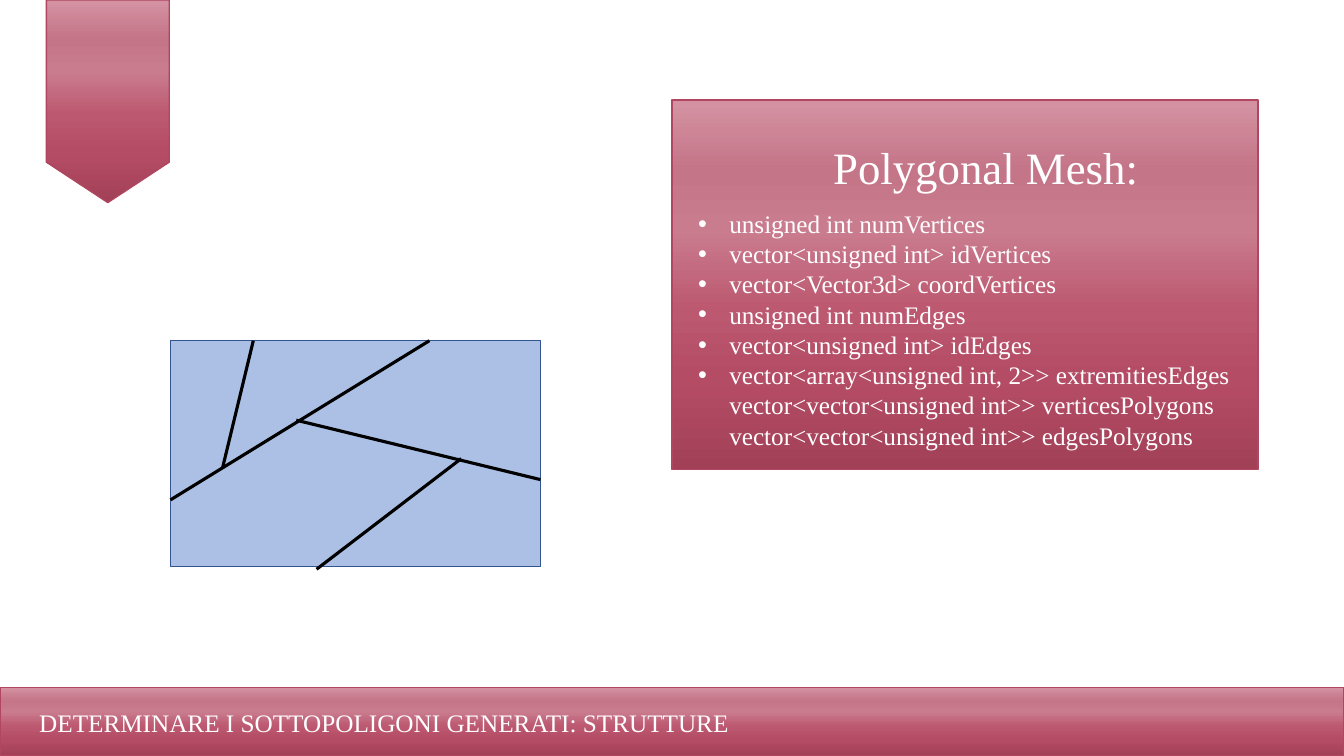
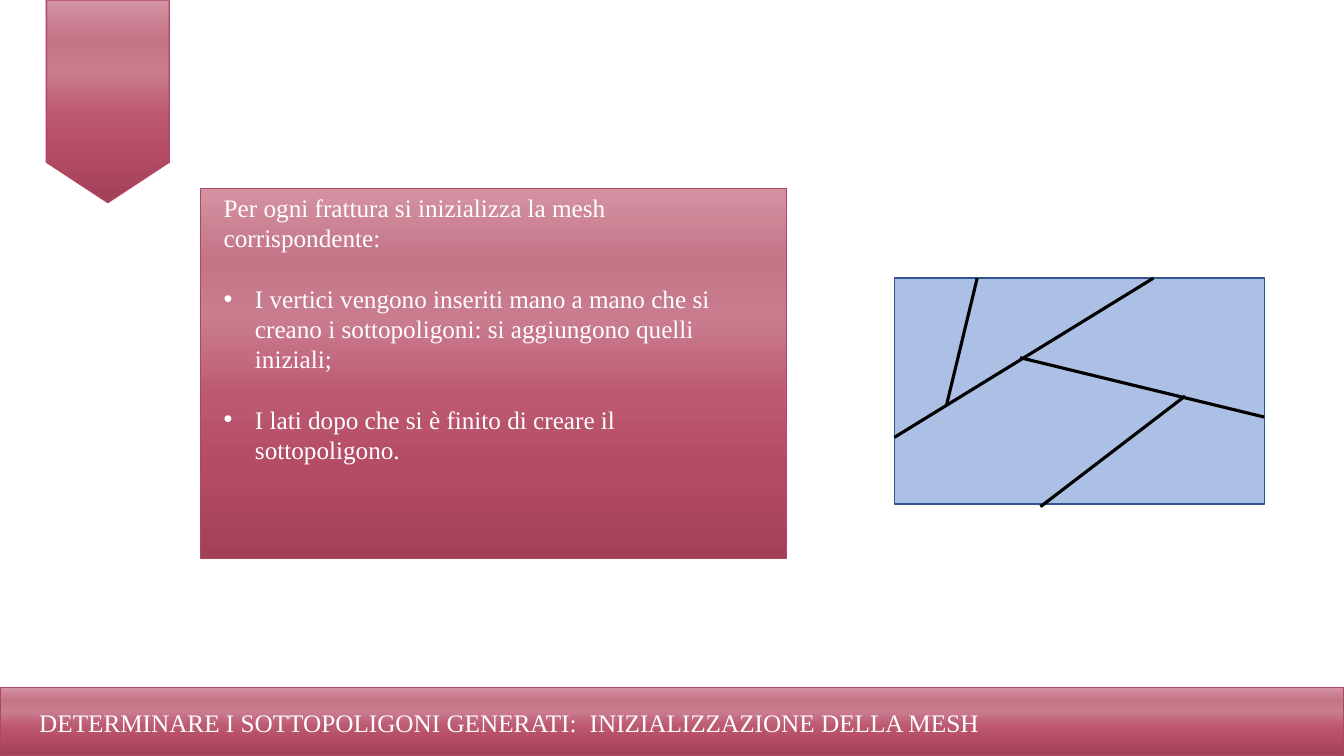
from lxml import etree
from pptx import Presentation
from pptx.dml.color import RGBColor
from pptx.enum.shapes import MSO_CONNECTOR, MSO_SHAPE
from pptx.enum.text import MSO_ANCHOR
from pptx.oxml.ns import qn
from pptx.util import Inches, Pt

RECT = MSO_SHAPE.RECTANGLE
RIBBON = MSO_SHAPE.FLOWCHART_OFFPAGE_CONNECTOR
STRAIGHT = MSO_CONNECTOR.STRAIGHT
MIDDLE, TOP = MSO_ANCHOR.MIDDLE, MSO_ANCHOR.TOP

FONT = "Times New Roman"
WHITE, BLACK = "FFFFFF", "000000"
ROSE, SKY, NAVY = "B0465F", "ABC0E4", "325491"
SHADES = [(0, "A24057"), (25, "B44C65"), (43, "BC5870"),
          (65, "CA7C8F"), (81, "C57588"), (99, "D391A1")]

# Boxes are left, top, width, height; shares are percent of the parent box.
PAGE = (0, 0, 13.33, 7.5)
PANEL = (43.6, 48.93)
MESH = (27.53, 29.87)
CUTS = [(0, 70.5, 70, 0), (34, 35.2, 100, 61.5),
        (39.5, 101.2, 78.6, 52.2), (14.1, 56.3, 22.4, 0)]
HEAD = "DETERMINARE I SOTTOPOLIGONI GENERATI:"
FIELDS = [
    "unsigned int numVertices",
    "vector<unsigned int> idVertices",
    "vector<Vector3d> coordVertices",
    "unsigned int numEdges",
    "vector<unsigned int> idEdges",
    "vector<array<unsigned int, 2>> extremitiesEdges"
    "\vvector<vector<unsigned int>> verticesPolygons"
    "\vvector<vector<unsigned int>> edgesPolygons",
]
INTRO = "Per ogni frattura si inizializza la mesh corrispondente:"
STEPS = [
    "I vertici vengono inseriti mano a mano che si creano i "
    "sottopoligoni: si aggiungono quelli iniziali;",
    "I lati dopo che si è finito di creare il sottopoligono.",
]


def color(code):
    return RGBColor.from_string(code)


def inner(box, left, top, width, height):
    """Box at the given percent shares of a parent box."""
    x, y, w, h = box
    return (x + w * left / 100, y + h * top / 100,
            w * width / 100, h * height / 100)


def emu(lengths):
    return [Inches(value) for value in lengths]


def shade(shape):
    """Fill with the rose gradient, dark at the bottom."""
    shape.fill.gradient()
    shape.fill.gradient_angle = 90
    stops = shape._element.spPr.find(qn("a:gradFill")).find(qn("a:gsLst"))
    for stop in list(stops):
        stops.remove(stop)
    for share, code in SHADES:
        stop = etree.SubElement(stops, qn("a:gs"), pos=str(share * 1000))
        etree.SubElement(stop, qn("a:srgbClr"), val=code)


def block(slide, box, kind=RECT, fill=None, edge=ROSE):
    shape = slide.shapes.add_shape(kind, *emu(box))
    shape.shadow.inherit = False
    if fill:
        shape.fill.solid()
        shape.fill.fore_color.rgb = color(fill)
    else:
        shade(shape)
    shape.line.color.rgb = color(edge)
    shape.line.width = Pt(1)


def bullet(para):
    props = para._p.get_or_add_pPr()
    props.set("marL", str(Inches(0.31)))
    props.set("indent", str(-Inches(0.31)))
    mark = etree.Element(qn("a:buChar"), char="•")
    font = props.find(qn("a:defRPr"))
    font.addprevious(etree.Element(qn("a:buFont"), typeface="Arial"))
    font.addprevious(mark)


def write(slide, box, plain=(), items=(), size=18, gap=0, anchor=TOP):
    """Text box with plain paragraphs, then bulleted items."""
    frame = slide.shapes.add_textbox(*emu(box)).text_frame
    frame.word_wrap = True
    frame.vertical_anchor = anchor
    for i, text in enumerate([*plain, *items]):
        para = frame.add_paragraph() if i else frame.paragraphs[0]
        para.text = text
        para.space_after = Pt(gap)
        para.font.name = FONT
        para.font.size = Pt(size)
        para.font.color.rgb = color(WHITE)
        if i >= len(plain):
            bullet(para)


def mesh(slide, left, top):
    """Rectangle cut into polygons by fracture lines."""
    box = inner(PAGE, left, top, *MESH)
    block(slide, box, fill=SKY, edge=NAVY)
    for x1, y1, x2, y2 in CUTS:
        start = inner(box, x1, y1, 0, 0)[:2]
        end = inner(box, x2, y2, 0, 0)[:2]
        line = slide.shapes.add_connector(STRAIGHT, *emu(start + end))
        line.line.color.rgb = color(BLACK)
        line.line.width = Pt(2.25)
        etree.SubElement(line._element.spPr, qn("a:effectLst"))


def panel(slide, left, top):
    box = inner(PAGE, left, top, *PANEL)
    block(slide, box)
    return box


def footer(slide, labels):
    band = inner(PAGE, 0, 90.93, 100, 9.07)
    block(slide, band)
    for left, text in labels:
        write(slide, inner(band, left, 22, 56, 59), [text])


def frame_page(deck, labels):
    """New slide with the ribbon and the footer."""
    slide = deck.slides.add_slide(deck.slide_layouts[6])
    block(slide, inner(PAGE, 3.45, 0, 9.15, 26.8), RIBBON)
    footer(slide, labels)
    return slide


def structure(deck):
    slide = frame_page(deck, [(2.18, HEAD + " STRUTTURE")])
    box = panel(slide, 50, 13.2)
    write(slide, inner(box, 25.8, 7.6, 70, 20.7), ["Polygonal Mesh:"],
          size=32, anchor=MIDDLE)
    write(slide, inner(box, 2.75, 28, 97, 68.7), items=FIELDS)
    mesh(slide, 12.68, 45.07)


def setup(deck):
    slide = frame_page(deck, [(2.18, HEAD),
                              (43.14, "INIZIALIZZAZIONE DELLA MESH")])
    mesh(slide, 66.54, 36.8)
    box = panel(slide, 14.93, 24.93)
    write(slide, inner(box, 2.24, -0.27, 91.4, 77), [INTRO], STEPS, gap=21.6)


def main():
    deck = Presentation()
    deck.slide_width, deck.slide_height = emu(PAGE[2:])
    structure(deck)
    setup(deck)
    deck.save("out.pptx")


if __name__ == "__main__":
    main()
